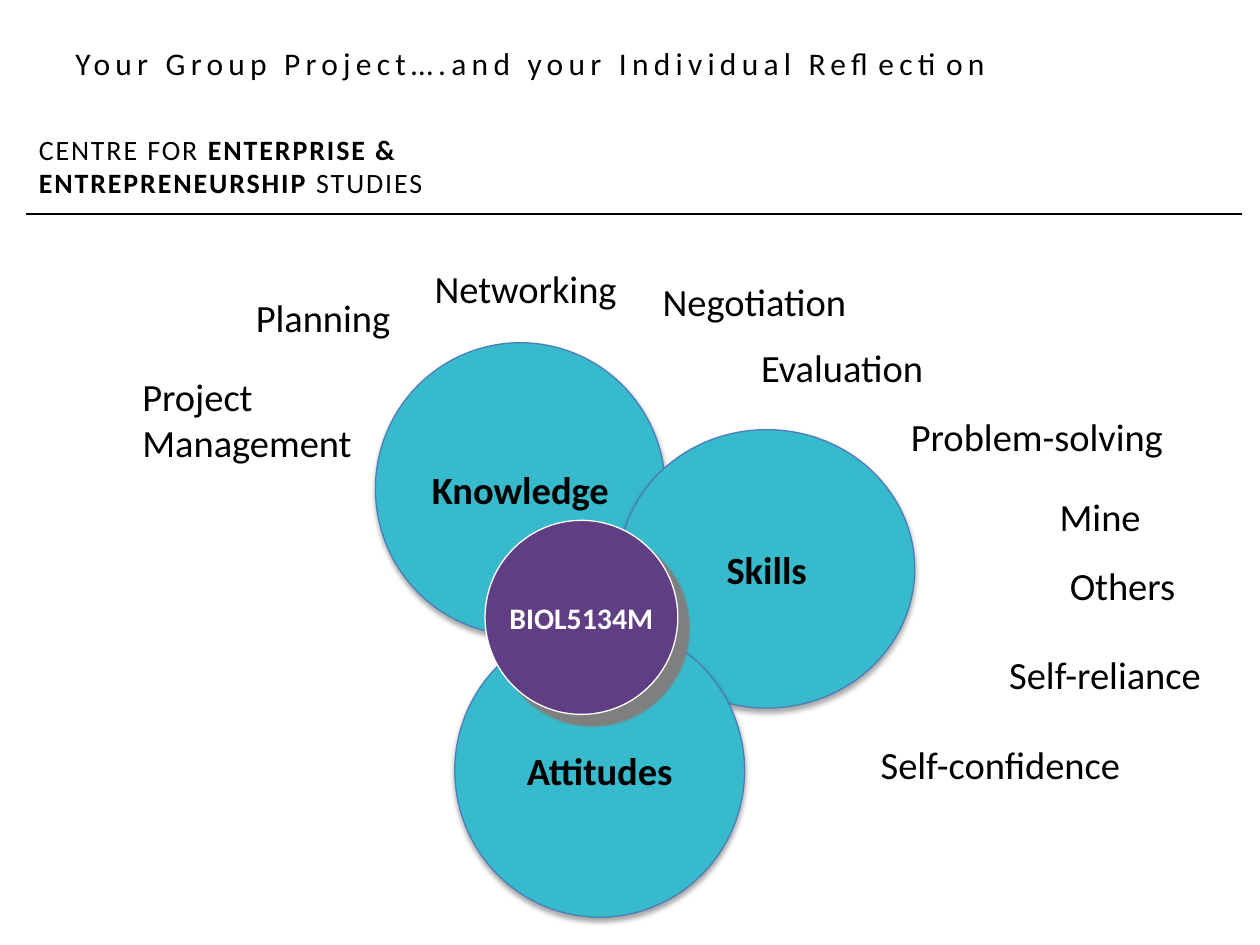
from lxml.etree import SubElement
from pptx import Presentation
from pptx.dml.color import RGBColor
from pptx.enum.shapes import MSO_CONNECTOR as Connector, MSO_SHAPE as Shape
from pptx.enum.text import MSO_ANCHOR as Anchor, PP_ALIGN as Align
from pptx.oxml.ns import qn
from pptx.util import Inches, Pt

COLORS = {
    "text": "000000",
    "white": "FFFFFF",
    "teal": "38BACD",
    "outline": "4A7EBB",
    "purple": "603E84",
    "shade": "808080",
}

presentation = Presentation()
presentation.slide_width = Inches(10)
presentation.slide_height = Inches(7.5)
slide = presentation.slides.add_slide(presentation.slide_layouts[6])

# Grid of 100 columns by 75 rows
COLUMN = presentation.slide_width / 100
ROW = presentation.slide_height / 75


def cells(left, top, width, height):
    return [round(n * unit) for n, unit in
            zip((left, top, width, height), (COLUMN, ROW, COLUMN, ROW))]


def write(shape, *runs, size=22, color="text", bold=False, tracking=0,
          inset=(0, 0), align=Align.LEFT, anchor=Anchor.TOP, wrap=True):
    """Fill one paragraph; a run is a string, or a (string, bold) pair."""
    frame = shape.text_frame
    frame.word_wrap = wrap
    frame.vertical_anchor = anchor
    frame.margin_left = frame.margin_right = round(inset[0] * COLUMN)
    frame.margin_top = frame.margin_bottom = round(inset[1] * ROW)
    paragraph = frame.paragraphs[0]
    paragraph.alignment = align
    for item in runs:
        words, weight = (item, bold) if isinstance(item, str) else item
        run = paragraph.add_run()
        run.text = words
        run.font.name = "Calibri"
        run.font.size = Pt(size)
        run.font.bold = weight
        run.font.color.rgb = RGBColor.from_string(COLORS[color])
        if tracking:
            run.font._element.set("spc", str(round(tracking * 100)))
    return paragraph


# Header
left, top, width, _ = cells(2.1, 17, 96.5, 0)
rule = slide.shapes.add_connector(Connector.STRAIGHT, left + width, top, left, top)
rule.line.color.rgb = RGBColor.from_string(COLORS["text"])
rule.line.width = Pt(1)
SubElement(rule._element.spPr, qn("a:effectLst"))

centre_name = slide.shapes.add_textbox(*cells(2.1, 10, 38.6, 6.4))
write(centre_name, "CENTRE FOR ", ("ENTERPRISE & ENTREPRENEURSHIP ", True), "STUDIES",
      size=16, tracking=1.1, inset=(1, 0.5))

title = slide.shapes.add_textbox(*cells(5, 3, 90, 12.5))
write(title, "Your Group Project….and your Individual Reflection",
      size=18, tracking=3, inset=(1, 0.5))

# Skills listed around the circles: text, left, top, width, height, wrap
labels = [
    ("Others", 84.9, 44.6, 8.5, 3.7, False),
    ("Negotiation", 52.6, 22.5, 21.7, 3.3, True),
    ("Mine", 84.1, 39.1, 6.5, 3.7, False),
    ("Networking", 34.5, 21, 19.6, 3.7, True),
    ("Evaluation", 60.4, 27.3, 18.6, 3.7, True),
    ("Planning", 20.3, 23.3, 15.8, 3.7, True),
    ("Project Management", 11.3, 29.6, 20.5, 7.4, True),
    ("Self-reliance", 80.1, 51.7, 15.5, 3.7, False),
    ("Self-confidence", 69.9, 58.8, 19.3, 3.7, False),
    ("Problem-solving", 72.3, 32.8, 23.6, 3.7, True),
]
for words, *box, wrap in labels:
    label = slide.shapes.add_textbox(*cells(*box))
    paragraph = write(label, words, wrap=wrap)
    if words == "Negotiation":
        paragraph.line_spacing = 0.9
        paragraph.space_before = Pt(5)

# Overlapping circles; shadow is colour, opacity %, blur, distance, angle
teal_style = ("teal", "outline", "text", 22, ("text", 35, 3, 1.8, 90))
purple_style = ("purple", "white", "white", 17, ("shade", 100, 1, 8.5, 45))
circles = [
    ("Knowledge", (29.8, 27.2, 23, 23.2), teal_style),
    ("Skills", (49.1, 34.1, 23.5, 22.1), teal_style),
    ("Attitudes", (36.1, 49.5, 23, 23.3), teal_style),
    ("BIOL5134M", (38.5, 41.3, 15.3, 15.4), purple_style),
]
for words, box, (fill, outline, ink, size, shadow) in circles:
    circle = slide.shapes.add_shape(Shape.OVAL, *cells(*box))
    circle.fill.solid()
    circle.fill.fore_color.rgb = RGBColor.from_string(COLORS[fill])
    circle.line.color.rgb = RGBColor.from_string(COLORS[outline])
    circle.line.width = Pt(0.75)
    write(circle, words, size=size, color=ink, bold=True,
          align=Align.CENTER, anchor=Anchor.MIDDLE, wrap=False)

    circle.shadow.inherit = False
    shade, opacity, blur, distance, angle = shadow
    effects = circle._element.spPr.find(qn("a:effectLst"))
    outer = SubElement(effects, qn("a:outerShdw"), blurRad=str(Pt(blur)),
                       dist=str(Pt(distance)), dir=str(angle * 60000),
                       algn="ctr", rotWithShape="0")
    tint = SubElement(outer, qn("a:srgbClr"), val=COLORS[shade])
    SubElement(tint, qn("a:alpha"), val=str(opacity * 1000))

presentation.save("out.pptx")
